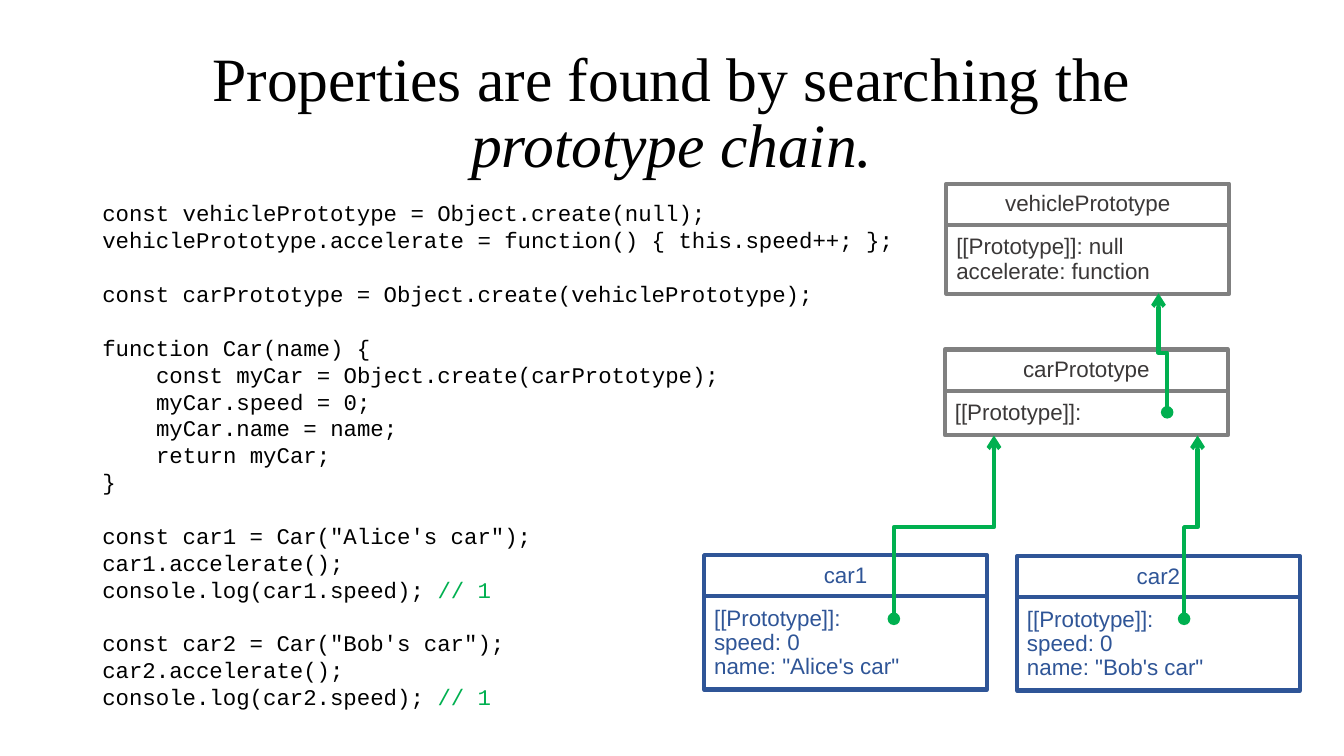
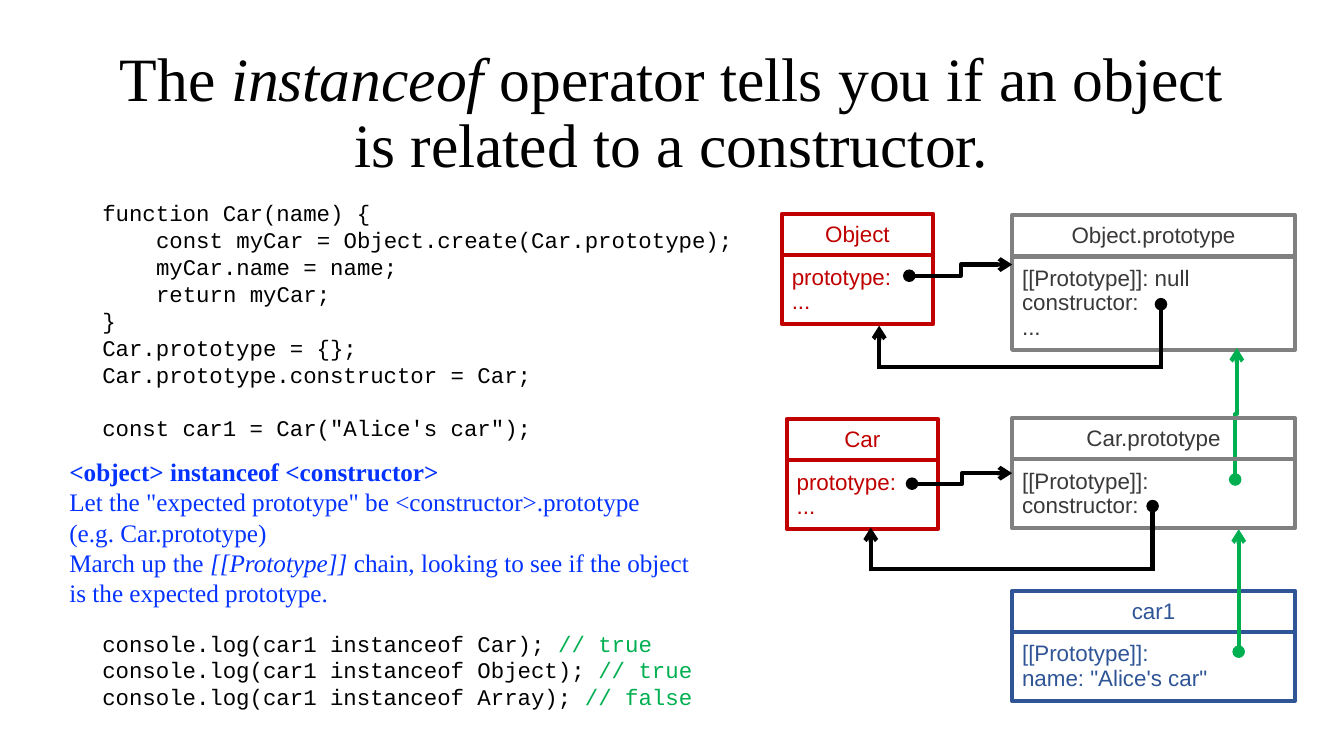
from lxml.etree import SubElement
from pptx import Presentation
from pptx.dml.color import RGBColor
from pptx.enum.shapes import MSO_CONNECTOR as CONN, MSO_SHAPE as SHAPE
from pptx.enum.text import MSO_ANCHOR as ANCHOR, PP_ALIGN as ALIGN
from pptx.oxml.ns import qn
from pptx.util import Pt

SERIF, SANS, MONO = "Times New Roman", "Arial", "Courier New"
BLACK, GREEN, BLUE = "000000", "00B050", "0432FF"
PROTOTYPE = ("808080", "3B3838")
INSTANCE = ("2F5597", "2F5597")
CONSTRUCTOR = ("C00000", "C00000")
CODE_LEADING = 19.2
CARD_LEADING = 17.4
CARD_INSET = 7.2
HEADER_H = 29.5

CHAIN_CODE = """const vehiclePrototype = Object.create(null);
vehiclePrototype.accelerate = function() { this.speed++; };

const carPrototype = Object.create(vehiclePrototype);

function Car(name) {
    const myCar = Object.create(carPrototype);
    myCar.speed = 0;
    myCar.name = name;
    return myCar;
}

const car1 = Car("Alice's car");
car1.accelerate();
console.log(car1.speed); // 1

const car2 = Car("Bob's car");
car2.accelerate();
console.log(car2.speed); // 1"""

CAR_CODE = """function Car(name) {
    const myCar = Object.create(Car.prototype);
    myCar.name = name;
    return myCar;
}
Car.prototype = {};
Car.prototype.constructor = Car;

const car1 = Car("Alice's car");"""

INSTANCEOF_CODE = """console.log(car1 instanceof Car); // true
console.log(car1 instanceof Object); // true
console.log(car1 instanceof Array); // false"""


def rgb(value):
    return RGBColor.from_string(value)


def add_run(p, text, size, font, color, bold=False, italic=False):
    r = p.add_run()
    r.text = text
    r.font.size, r.font.name = Pt(size), font
    r.font.bold, r.font.italic = bold, italic
    r.font.color.rgb = rgb(color)


def add_paragraph(tf, index, leading, align=ALIGN.LEFT):
    p = tf.add_paragraph() if index else tf.paragraphs[0]
    p.line_spacing, p.alignment = Pt(leading), align
    return p


def add_text_box(s, x, y, w, h):
    tf = s.shapes.add_textbox(Pt(x), Pt(y), Pt(w), Pt(h)).text_frame
    tf.word_wrap = True
    return tf


def add_title(s, runs):
    tf = add_text_box(s, 66, 28.8, 828, 104.4)
    tf.vertical_anchor = ANCHOR.MIDDLE
    p = add_paragraph(tf, 0, 47.5, ALIGN.CENTER)
    for text, italic in runs:
        add_run(p, text, 44, SERIF, BLACK, italic=italic)


def add_code(s, y, w, h, code):
    tf = add_text_box(s, 66, y, w, h)
    gap = index = 0
    for line in code.splitlines():
        if not line:
            gap += CODE_LEADING
            continue
        p = add_paragraph(tf, index, CODE_LEADING)
        p.space_before = Pt(gap)
        text = line.lstrip()
        indent = (len(line) - len(text)) * 9.6
        p._p.get_or_add_pPr().set("marL", str(Pt(indent)))
        statement, slashes, comment = text.partition("//")
        add_run(p, statement, 16, MONO, BLACK)
        if slashes:
            add_run(p, slashes + comment, 16, MONO, GREEN)
        gap, index = 0, index + 1


def add_note(s, paragraphs):
    tf = add_text_box(s, 42.5, 322.5, 458.6, 138)
    for i, runs in enumerate(paragraphs):
        p = add_paragraph(tf, i, 21.6)
        for text, bold, italic in runs:
            add_run(p, text, 18, SERIF, BLUE, bold, italic)


def add_cell(group, x, y, w, h, lines, colors, inset, align, anchor):
    line_color, text_color = colors
    sp = group.shapes.add_shape(SHAPE.RECTANGLE, Pt(x), Pt(y), Pt(w), Pt(h))
    sp.shadow.inherit = False
    sp.fill.background()
    sp.line.color.rgb, sp.line.width = rgb(line_color), Pt(3)
    tf = sp.text_frame
    tf.word_wrap, tf.vertical_anchor = True, anchor
    tf.margin_left = tf.margin_right = Pt(CARD_INSET)
    tf.margin_top = tf.margin_bottom = Pt(inset)
    for i, text in enumerate(lines):
        p = add_paragraph(tf, i, CARD_LEADING, align)
        add_run(p, text, 16, SANS, text_color)


def add_card(s, x, y, name, slots, colors, w=202):
    group = s.shapes.add_group_shape()
    body_h = len(slots) * CARD_LEADING + 2 * CARD_INSET
    add_cell(group, x, y, w, HEADER_H, [name], colors, 5,
             ALIGN.CENTER, ANCHOR.MIDDLE)
    add_cell(group, x, y + HEADER_H, w, body_h, slots, colors, CARD_INSET,
             ALIGN.LEFT, ANCHOR.TOP)


def add_link(s, kind, x1, y1, x2, y2, color, head="oval", tail="arrow"):
    link = s.shapes.add_connector(kind, Pt(x1), Pt(y1), Pt(x2), Pt(y2))
    link.line.color.rgb, link.line.width = rgb(color), Pt(3)
    ln = link.line._get_or_add_ln()
    ln.set("cap", "flat" if head or tail else "sq")
    for tag, end in (("a:headEnd", head), ("a:tailEnd", tail)):
        if end:
            SubElement(ln, qn(tag), type=end)
    SubElement(link._element.spPr, qn("a:effectLst"))
    return link


def add_chain_link(s, x1, y1, x2, y2):
    if x1 == x2:
        add_link(s, CONN.STRAIGHT, x1, y1, x2, y2, GREEN)
        return
    cx, cy = (x1 + x2) / 2, (y1 + y2) / 2
    half_run, half_rise = (x2 - x1) / 2, (y1 - y2) / 2
    link = add_link(s, CONN.ELBOW, cx - half_rise, cy - half_run,
                    cx + half_rise, cy + half_run, GREEN)
    link._element.spPr.find(qn("a:xfrm")).set("rot", str(270 * 60000))


def add_back_link(s, x1, y1, x2, y2, low):
    add_link(s, CONN.STRAIGHT, x1, y1, x1, low, BLACK, tail=None)
    add_link(s, CONN.STRAIGHT, x1, low, x2, low, BLACK, None, None)
    add_link(s, CONN.STRAIGHT, x2, low, x2, y2, BLACK, head=None)


def build_chain_slide(s):
    add_title(s, [("Properties are found by searching the ", False),
                  ("prototype chain.", True)])
    add_code(s, 139, 588, 389.5, CHAIN_CODE)
    cards = [
        (676, 131.2, "vehiclePrototype",
         ["[[Prototype]]: null", "accelerate: function"], PROTOTYPE),
        (726.5, 397.2, "car2",
         ["[[Prototype]]:", "speed: 0", "name: \"Bob's car\""], INSTANCE),
        (503, 396.5, "car1",
         ["[[Prototype]]:", "speed: 0", "name: \"Alice's car\""], INSTANCE),
        (675, 249.6, "carPrototype", ["[[Prototype]]:"], PROTOTYPE),
    ]
    for card in cards:
        add_card(s, *card)
    add_chain_link(s, 638.5, 442, 710, 311)
    add_chain_link(s, 845.8, 442, 855.4, 311)
    add_chain_link(s, 833.7, 294.5, 827.5, 209.5)


def build_instanceof_slide(s):
    add_title(s, [("The ", False), ("instanceof", True),
                  (" operator tells you if an object is related "
                   "to a constructor.", False)])
    add_code(s, 139, 473, 180, CAR_CODE)
    add_code(s, 446.2, 473, 65, INSTANCEOF_CODE)
    add_card(s, 723, 153.8, "Object.prototype",
             ["[[Prototype]]: null", "constructor:", "..."], PROTOTYPE)
    add_card(s, 723, 422, "car1",
             ["[[Prototype]]:", "name: \"Alice's car\""], INSTANCE)
    add_chain_link(s, 884.8, 465.5, 884.8, 378)
    add_chain_link(s, 882.3, 342.5, 883.5, 248.5)
    add_card(s, 723, 298.6, "Car.prototype",
             ["[[Prototype]]:", "constructor:"], PROTOTYPE)
    for x, y, name in ((562, 299.3, "Car"), (558.5, 152.8, "Object")):
        add_card(s, x, y, name, ["prototype:", "..."], CONSTRUCTOR, 108)
    add_link(s, CONN.ELBOW, 649.5, 197, 723, 189, BLACK)
    add_link(s, CONN.ELBOW, 651.5, 345.5, 723, 338, BLACK)
    add_back_link(s, 829.3, 217.3, 628, 232.6, 262)
    add_back_link(s, 823.3, 361.5, 622, 376.8, 406.5)
    add_note(s, [
        [("<object> instanceof <constructor>", True, False)],
        [("Let the \"expected prototype\" be <constructor>.prototype",
          False, False)],
        [("(e.g. Car.prototype)", False, False)],
        [("March up the ", False, False), ("[[Prototype]] ", False, True),
         ("chain, looking to see if the object is the expected prototype.",
          False, False)],
    ])


def main():
    prs = Presentation()
    prs.slide_width, prs.slide_height = Pt(960), Pt(540)
    for build in (build_chain_slide, build_instanceof_slide):
        build(prs.slides.add_slide(prs.slide_layouts[6]))
    prs.save("out.pptx")


if __name__ == "__main__":
    main()
